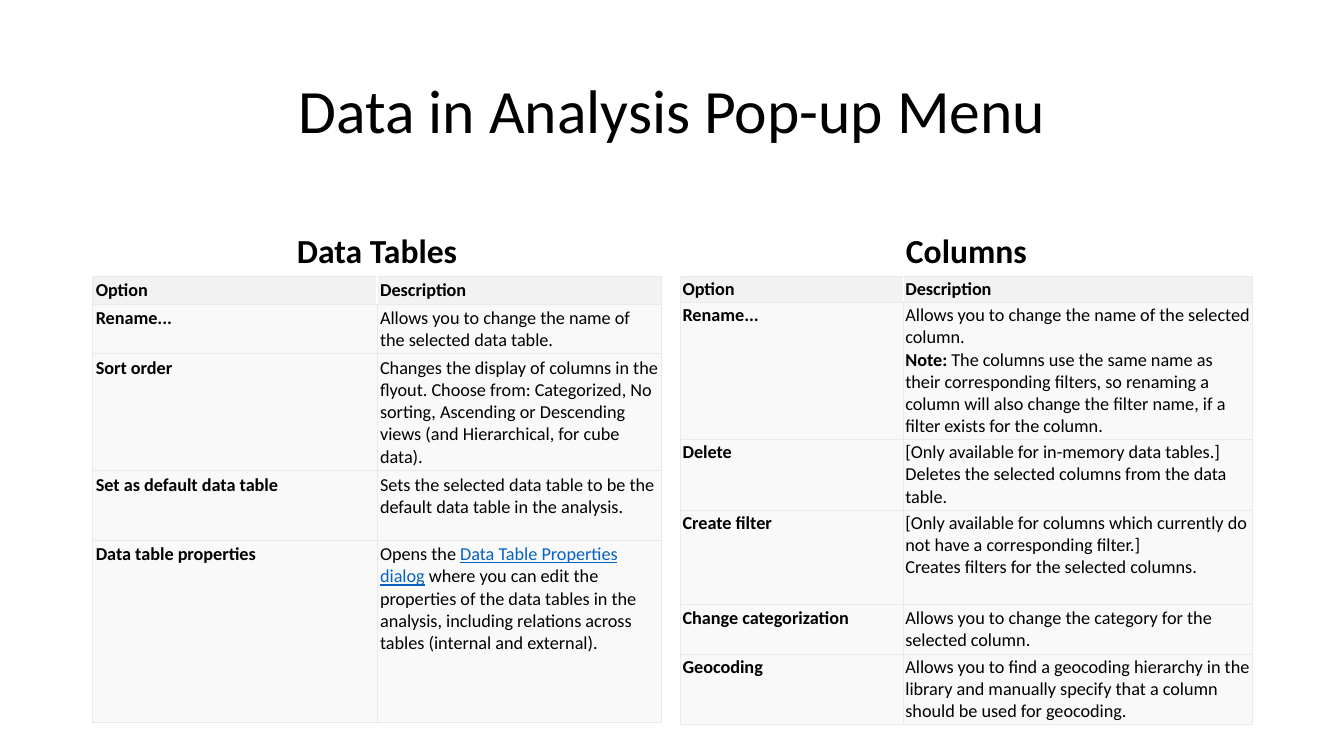
from lxml import etree
from pptx import Presentation
from pptx.dml.color import RGBColor
from pptx.enum.text import MSO_ANCHOR, PP_ALIGN
from pptx.oxml.ns import qn
from pptx.util import Inches, Pt

CENTER = PP_ALIGN.CENTER
MIDDLE, BOTTOM = MSO_ANCHOR.MIDDLE, MSO_ANCHOR.BOTTOM
FONT = "Calibri"
COLORS = {"text": "000000", "link": "0563C1", "border": "EAEAEA",
          "header": "F2F2F2", "body": "F9F9F9"}


def set_font(font, size, bold=False):
    font.name, font.size, font.bold = FONT, Pt(size), bold
    font.color.rgb = RGBColor.from_string(COLORS["text"])


def add_borders(cell, sides):
    properties = cell._tc.get_or_add_tcPr()
    for position, side in enumerate(sides):
        line = etree.Element(qn(f"a:ln{side}"), w=str(Pt(0.75)))
        fill = etree.SubElement(line, qn("a:solidFill"))
        etree.SubElement(fill, qn("a:srgbClr"), val=COLORS["border"])
        properties.insert(position, line)


# Each description is a list of paragraphs, each a list of (text, style) runs
data_table_options = [
    ("Rename...", [[("Allows you to change the name of the selected data table.", "plain")]]),
    ("Sort order", [[("Changes the display of columns in the flyout. Choose from: "
                      "Categorized, No sorting, Ascending or Descending views "
                      "(and Hierarchical, for cube data).", "plain")]]),
    ("Set as default data table", [[("Sets the selected data table to be the default data "
                                     "table in the analysis.", "plain")]]),
    ("Data table properties", [[
        ("Opens the\u00a0", "plain"),
        ("Data Table Properties dialog", "link"),
        ("\u00a0where you can edit the properties of the data tables in the analysis, "
         "including relations across tables (internal and external).", "plain")]]),
]
column_options = [
    ("Rename...", [
        [("Allows you to change the name of the selected column.", "plain")],
        [("Note:", "bold"),
         ("\u00a0The columns use the same name as their corresponding filters, so renaming "
          "a column will also change the filter name, if a filter exists for the column.",
          "plain")]]),
    ("Delete", [
        [("[Only available for in-memory data tables.]", "plain")],
        [("Deletes the selected columns from the data table.", "plain")]]),
    ("Create filter", [
        [("[Only available for columns which currently do not have a corresponding filter.]",
          "plain")],
        [("Creates filters for the selected columns.", "plain")]]),
    ("Change categorization", [[("Allows you to change the category for the selected column.",
                                 "plain")]]),
    ("Geocoding", [[("Allows you to find a geocoding hierarchy in the library and manually "
                     "specify that a column should be used for geocoding.", "plain")]]),
]

# Heading, left edge, column widths, row heights, cell inset, options
sections = [
    ("Data Tables", 0.92, [2.82, 2.82], [0.27, 0.49, 1.16, 0.69, 1.81], 0.03,
     data_table_options),
    ("Columns", 6.75, [2.21, 3.46], [0.26, 1.36, 0.7, 0.94, 0.49, 0.7], 0.02,
     column_options),
]

prs = Presentation()
prs.slide_width, prs.slide_height = Inches(13.33), Inches(7.5)
slide = prs.slides.add_slide(prs.slide_layouts[5])

# Title
title = slide.shapes.title
title.left, title.top = Inches(0.92), Inches(0.4)
title.width, title.height = Inches(11.5), Inches(1.45)
title.text_frame.text = "Data in Analysis Pop-up Menu"
title.text_frame.vertical_anchor = MIDDLE
title_line = title.text_frame.paragraphs[0]
title_line.alignment, title_line.line_spacing = CENTER, 0.9
set_font(title_line.font, 44)

for name, left, widths, heights, inset, options in sections:
    # Section heading
    heading = slide.shapes.add_textbox(Inches(left), Inches(1.84),
                                       Inches(sum(widths)), Inches(0.9)).text_frame
    heading.word_wrap, heading.vertical_anchor = True, BOTTOM
    heading_line = heading.paragraphs[0]
    heading_line.text = name
    heading_line.alignment, heading_line.line_spacing = CENTER, 0.9
    set_font(heading_line.font, 24, True)

    # Options table
    table = slide.shapes.add_table(len(heights), len(widths), Inches(left), Inches(2.74),
                                   Inches(sum(widths)), Inches(sum(heights))).table
    for column, width in zip(table.columns, widths):
        column.width = Inches(width)
    for row, height in zip(table.rows, heights):
        row.height = Inches(height)

    rows = [("Option", [[("Description", "bold")]])] + options
    for row_index, (option, description) in enumerate(rows):
        for column_index, content in enumerate([[[(option, "bold")]], description]):
            cell = table.cell(row_index, column_index)
            cell.margin_left = cell.margin_right = Inches(inset)
            cell.margin_top = cell.margin_bottom = Inches(inset)
            cell.fill.solid()
            shade = "body" if row_index else "header"
            cell.fill.fore_color.rgb = RGBColor.from_string(COLORS[shade])
            # The header row has no line between its two cells
            add_borders(cell, "LRTB" if row_index else ("LTB", "RTB")[column_index])

            for index, runs in enumerate(content):
                frame = cell.text_frame
                paragraph = frame.add_paragraph() if index else frame.paragraphs[0]
                set_font(paragraph.font, 13, all(style == "bold" for _, style in runs))
                for text, style in runs:
                    run = paragraph.add_run()
                    run.text = text
                    set_font(run.font, 13, style == "bold")
                    if style == "link":
                        run.font.underline = True
                        run.font.color.rgb = RGBColor.from_string(COLORS["link"])

prs.save("out.pptx")
